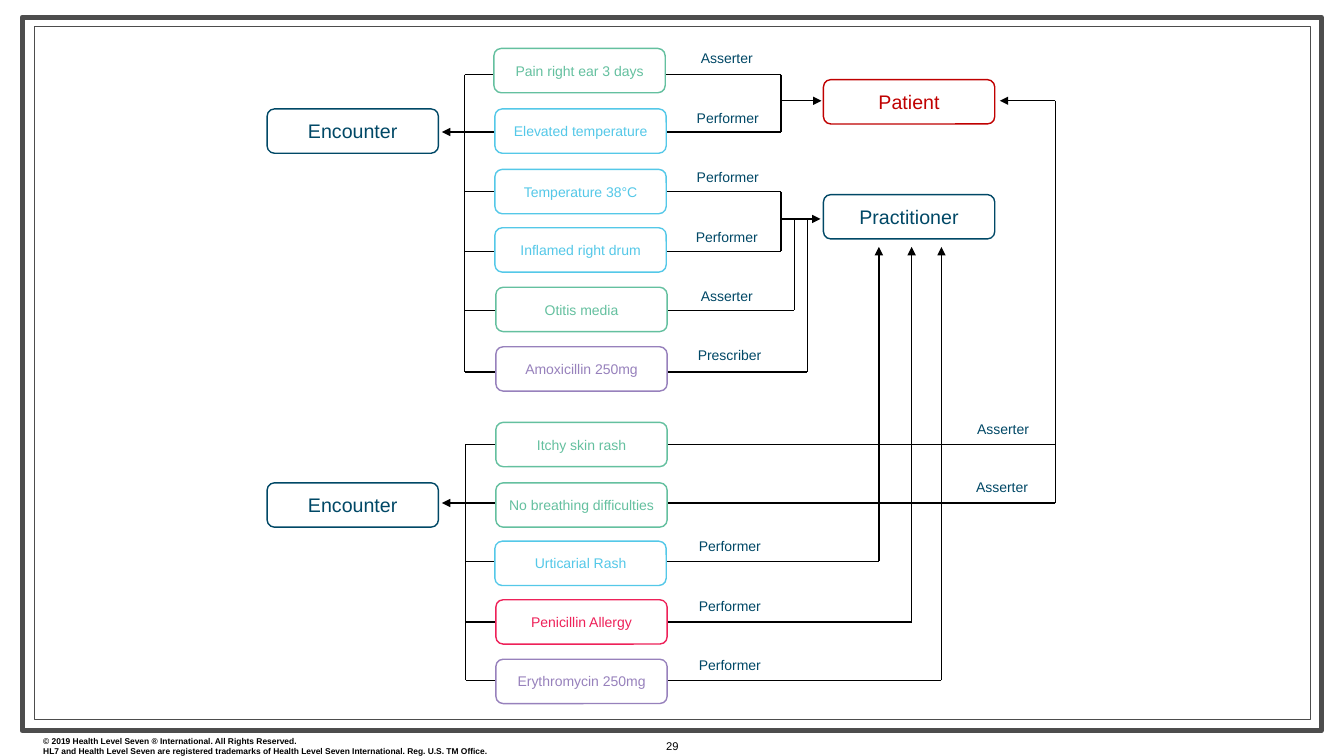
from lxml import etree
from pptx import Presentation
from pptx.dml.color import RGBColor
from pptx.enum.shapes import MSO_CONNECTOR, MSO_SHAPE
from pptx.enum.text import MSO_ANCHOR, PP_ALIGN
from pptx.oxml.ns import qn
from pptx.util import Pt

BLACK = RGBColor(0x00, 0x00, 0x00)
WHITE = RGBColor(0xFF, 0xFF, 0xFF)
GRAY = RGBColor(0x4D, 0x4D, 0x4D)
NAVY = RGBColor(0x00, 0x48, 0x66)
DARK_RED = RGBColor(0xC0, 0x00, 0x00)
GREEN = RGBColor(0x64, 0xC0, 0x9F)
BLUE = RGBColor(0x54, 0xC8, 0xE8)
PURPLE = RGBColor(0x97, 0x81, 0xBC)
PINK = RGBColor(0xEE, 0x21, 0x59)

BOX_WIDTH, BOX_HEIGHT = 122.4, 31.7
LABEL_WIDTH, LABEL_HEIGHT = 63, 19.4

deck = Presentation()
deck.slide_width, deck.slide_height = Pt(960), Pt(540)
page = deck.slides.add_slide(deck.slide_layouts[6])


def write(shape, text, size, color, align=PP_ALIGN.CENTER, bold=False):
    frame = shape.text_frame
    frame.text = text
    frame.word_wrap = True
    for paragraph in frame.paragraphs:
        paragraph.alignment = align
        for span in paragraph.runs:
            span.font.name = "Arial"
            span.font.size = Pt(size)
            span.font.bold = bold
            span.font.color.rgb = color


def draw_line(x1, y1, x2, y2, arrow=False):
    line = page.shapes.add_connector(
        MSO_CONNECTOR.STRAIGHT, Pt(x1), Pt(y1), Pt(x2), Pt(y2))
    line.line.color.rgb = BLACK
    line.line.width = Pt(1)
    properties = line._element.spPr
    if arrow:
        etree.SubElement(properties.find(qn("a:ln")), qn("a:tailEnd"), type="triangle")
    etree.SubElement(properties, qn("a:effectLst"))


for left, top, width, height, weight in [
    (15.8, 12.2, 928.1, 509.8, 3.5),
    (24.5, 18.7, 911.5, 495.4, 0.75),
]:
    border = page.shapes.add_shape(
        MSO_SHAPE.RECTANGLE, Pt(left), Pt(top), Pt(width), Pt(height))
    border.shadow.inherit = False
    border.fill.solid()
    border.fill.fore_color.rgb = WHITE
    border.line.color.rgb = GRAY
    border.line.width = Pt(weight)

copyright_box = page.shapes.add_textbox(Pt(23.8), Pt(522), Pt(463.7), Pt(21.6))
write(copyright_box,
      "© 2019 Health Level Seven ® International. All Rights Reserved.\n"
      "HL7 and Health Level Seven are registered trademarks of Health Level Seven "
      "International. Reg. U.S. TM Office.",
      6, BLACK, PP_ALIGN.LEFT, True)
number_box = page.shapes.add_textbox(Pt(468), Pt(524.9), Pt(24.5), Pt(17.3))
write(number_box, "29", 8, BLACK)
number_box.text_frame.word_wrap = False

# text, color, box left, box top, line y, line right, role, label left, label top
first_visit = [
    ("Pain right ear 3 days", GREEN, 352.8, 34.6, 53.3, 558, "Asserter", 487.6, 31.7),
    ("Elevated temperature", BLUE, 353.5, 77.8, 94.3, 558, "Performer", 488.3, 74.2),
    ("Temperature 38°C", BLUE, 353.5, 121, 136.8, 558, "Performer", 488.3, 116.6),
    ("Inflamed right drum", BLUE, 353.5, 162.7, 179.6, 558, "Performer", 487.6, 159.8),
    ("Otitis media", GREEN, 354.2, 205.2, 221.8, 567.4, "Asserter", 487.6, 201.6),
    ("Amoxicillin 250mg", PURPLE, 354.2, 247.7, 265.7, 576.7, "Prescriber", 489.6, 244.1),
]
second_visit = [
    ("Itchy skin rash", GREEN, 354.2, 301.7, 317.5, 753.8, "Asserter", 684.9, 296.6),
    ("No breathing difficulties", GREEN, 354.2, 344.9, 359.3, 753.8, "Asserter", 684.2, 338.4),
    ("Urticarial Rash", BLUE, 353.5, 386.6, 401, 627.8, "Performer", 489.8, 380.2),
    ("Penicillin Allergy", PINK, 354.2, 428.4, 444.2, 651.2, "Performer", 489.8, 423.4),
    ("Erythromycin 250mg", PURPLE, 354.2, 470.9, 486, 672.5, "Performer", 489.8, 465.1),
]
boxes = [
    ("Encounter", NAVY, 190.8, 77.8, 14),
    ("Encounter", NAVY, 190.8, 344.9, 14),
    ("Practitioner", NAVY, 588.2, 139, 14),
    ("Patient", DARK_RED, 588.2, 56.9, 14),
]

for trunk, visit in [(331.9, first_visit), (332.6, second_visit)]:
    draw_line(trunk, visit[0][4], trunk, visit[-1][4])
    for row, (text, color, left, top, y, right, role, label_left, label_top) in enumerate(visit):
        if row == 1:
            draw_line(right, y, 315.7, y, arrow=True)
        else:
            draw_line(trunk, y, right, y)
        boxes.append((text, color, left, top, 10))
        label = page.shapes.add_textbox(
            Pt(label_left), Pt(label_top), Pt(LABEL_WIDTH), Pt(LABEL_HEIGHT))
        write(label, role, 10, NAVY)
        label.text_frame.margin_left = label.text_frame.margin_right = 0
        label.text_frame.vertical_anchor = MSO_ANCHOR.MIDDLE

for x, top, bottom in [
    (558, 53.3, 94.3),
    (558, 136.8, 179.6),
    (567.4, 156.6, 221.8),
    (576.7, 156.6, 265.7),
    (753.8, 72, 359.3),
]:
    draw_line(x, top, x, bottom)
for x1, y1, x2, y2 in [
    (558, 72, 586.8, 72),
    (753.8, 72, 714.2, 72),
    (558, 156.4, 586.1, 156.4),
    (627.8, 401, 627.8, 176.4),
    (651.2, 444.2, 651.2, 176.4),
    (672.5, 486, 672.5, 176.4),
]:
    draw_line(x1, y1, x2, y2, arrow=True)

for text, color, left, top, size in boxes:
    box = page.shapes.add_shape(
        MSO_SHAPE.ROUNDED_RECTANGLE, Pt(left), Pt(top), Pt(BOX_WIDTH), Pt(BOX_HEIGHT))
    box.shadow.inherit = False
    box.fill.solid()
    box.fill.fore_color.rgb = WHITE
    box.line.color.rgb = color
    box.line.width = Pt(1)
    box.text_frame.vertical_anchor = MSO_ANCHOR.MIDDLE
    write(box, text, size, color)

deck.save("out.pptx")
